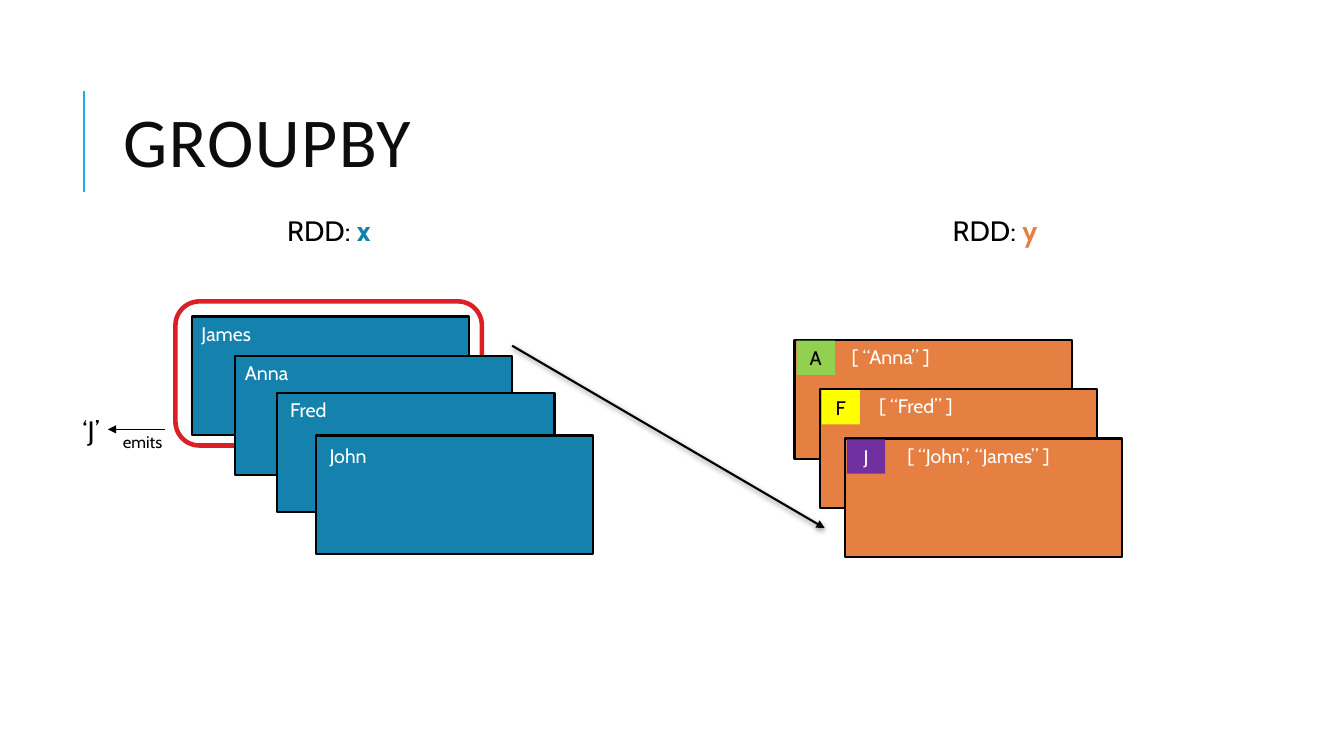
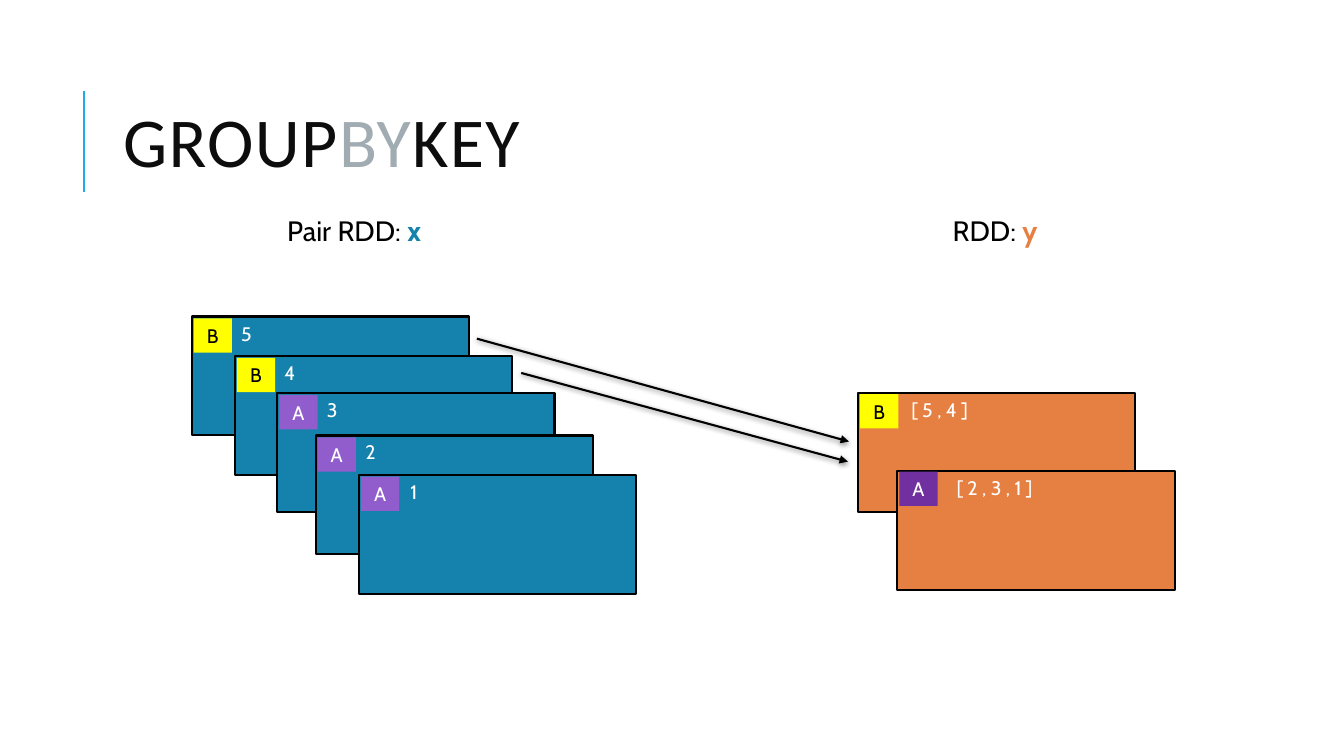
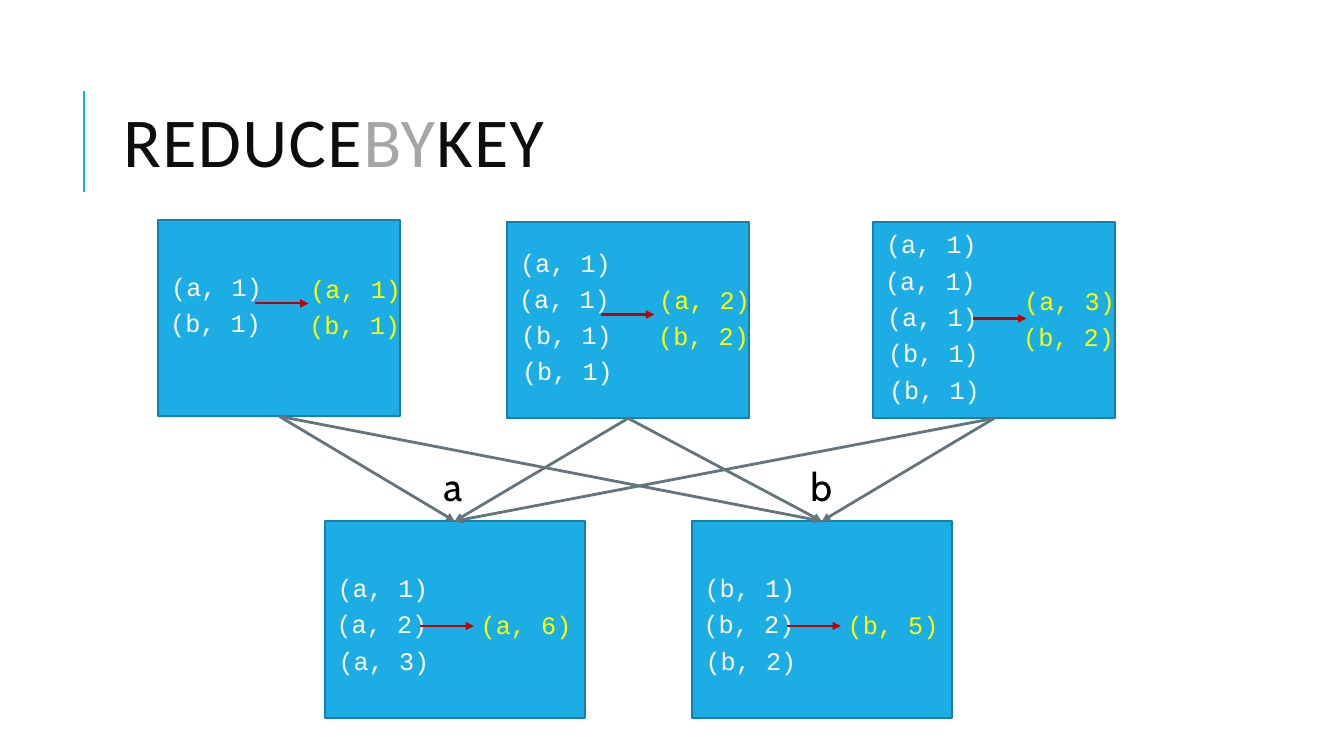
from itertools import product

from lxml import etree
from pptx import Presentation
from pptx.dml.color import RGBColor
from pptx.enum.shapes import MSO_CONNECTOR, MSO_SHAPE
from pptx.enum.text import MSO_ANCHOR, MSO_AUTO_SIZE, PP_ALIGN
from pptx.oxml.ns import qn
from pptx.util import Inches, Pt

STRAIGHT = MSO_CONNECTOR.STRAIGHT
RECTANGLE, ROUNDED = MSO_SHAPE.RECTANGLE, MSO_SHAPE.ROUNDED_RECTANGLE
LEFT, CENTER = PP_ALIGN.LEFT, PP_ALIGN.CENTER
TOP, MIDDLE = MSO_ANCHOR.TOP, MSO_ANCHOR.MIDDLE
NO_AUTOFIT = MSO_AUTO_SIZE.NONE
TITLE_ONLY = 5

COLORS = {
    "black": "000000", "white": "FFFFFF", "title": "0D0D0D",
    "muted": "A1ACB2", "gray": "A6A6A6", "accent": "1CADE4",
    "node_line": "1580A9", "blue": "1482AC", "orange": "E68042",
    "red": "DB1F25", "dark_red": "C00000", "slate": "65757D",
    "yellow": "FFFF00", "green": "92D050", "purple": "7030A0",
    "violet": "915CCC",
}
TITLE_FONT, BODY_FONT, CODE_FONT = "Calibri", "Cabin", "Courier New"

CARD_WIDTH, CARD_HEIGHT = 2.75, 1.18
KEY_WIDTH, KEY_HEIGHT = 0.38, 0.34
BLUE_PLACES = [(1.9, 3.14), (2.33, 3.53), (2.75, 3.9), (3.13, 4.32), (3.56, 4.71)]
NODE_HEIGHT, PAIR_PITCH = 1.95, 0.36
PAIR_INDENTS = (0.03, 0.02, 0.04, 0.05, 0.06)


def color(name):
    return RGBColor.from_string(COLORS[name])


# Basic parts
def add_runs(para, runs, size, font):
    """Each run is (text, colour name, bold)."""
    for text, shade, bold in runs:
        span = para.add_run()
        span.text = text
        span.font.size = Pt(size)
        span.font.name = font
        span.font.bold = bold
        span.font.color.rgb = color(shade)


def add_label(slide, left, top, width, height, runs, size=14, font=BODY_FONT, align=LEFT):
    label = slide.shapes.add_textbox(Inches(left), Inches(top), Inches(width), Inches(height))
    frame = label.text_frame
    frame.word_wrap = True
    frame.vertical_anchor = TOP
    frame.paragraphs[0].alignment = align
    add_runs(frame.paragraphs[0], runs, size, font)


def add_box(slide, left, top, width, height, fill=None, line=None, weight=1.5, kind=RECTANGLE):
    box = slide.shapes.add_shape(kind, Inches(left), Inches(top), Inches(width), Inches(height))
    box.shadow.inherit = False
    if fill:
        box.fill.solid()
        box.fill.fore_color.rgb = color(fill)
    else:
        box.fill.background()
    if line:
        box.line.color.rgb = color(line)
        box.line.width = Pt(weight)
    else:
        box.line.fill.background()
    return box


def add_line(slide, start, end, shade, weight, arrow=True, shadow=False):
    points = [Inches(value) for value in (*start, *end)]
    line = slide.shapes.add_connector(STRAIGHT, *points)
    line.line.color.rgb = color(shade)
    line.line.width = Pt(weight)
    if arrow:
        etree.SubElement(line.line._get_or_add_ln(), qn("a:tailEnd"), type="triangle")
    effects = etree.SubElement(line._element.spPr, qn("a:effectLst"))
    if shadow:
        outer = etree.SubElement(effects, qn("a:outerShdw"), blurRad=str(Pt(4)),
                                 dist=str(Pt(1)), dir="5400000", rotWithShape="0")
        shade_element = etree.SubElement(outer, qn("a:srgbClr"), val=COLORS["black"])
        etree.SubElement(shade_element, qn("a:alpha"), val="50000")
    return line


# Shared page: accent bar and title
def add_page(deck, title_runs):
    slide = deck.slides.add_slide(deck.slide_layouts[TITLE_ONLY])
    add_line(slide, (0.83, 1.9), (0.83, 0.9), "accent", 1.5, arrow=False)
    title = slide.shapes.title
    title.left, title.top = Inches(1.12), Inches(0.64)
    title.width, title.height = Inches(10.63), Inches(1.64)
    frame = title.text_frame
    frame.auto_size = NO_AUTOFIT
    frame.word_wrap = True
    frame.vertical_anchor = MIDDLE
    para = frame.paragraphs[0]
    para.alignment = LEFT
    para.line_spacing = 0.8
    add_runs(para, [(text, shade, False) for text, shade in title_runs], 50, TITLE_FONT)
    for span in para.runs:
        span._r.get_or_add_rPr().set("spc", "100")
    return slide


# Headings over the two datasets
def add_headings(slide, source_text):
    headings = [(2.75, source_text, "x", "blue"), (9.35, "RDD: ", "y", "orange")]
    for left, text, name, shade in headings:
        add_label(slide, left, 2.07, 1.55, 0.44,
                  [(text, "black", False), (name, shade, True)], size=20)


# One record: a card, its value and an optional key tag
def add_card(slide, left, top, fill, value, value_box, align=CENTER, key=None, key_drop=0.01):
    add_box(slide, left, top, CARD_WIDTH, CARD_HEIGHT, fill, "black")
    shift, drop, width = value_box
    add_label(slide, left + shift, top + drop, width, 0.34,
              [(value, "white", False)], align=align)
    if key:
        letter, key_fill, ink = key
        tag = add_box(slide, left + 0.02, top + key_drop, KEY_WIDTH, KEY_HEIGHT, key_fill)
        frame = tag.text_frame
        frame.margin_left = frame.margin_right = 0
        frame.margin_top = frame.margin_bottom = 0
        frame.vertical_anchor = MIDDLE
        frame.paragraphs[0].alignment = CENTER
        add_runs(frame.paragraphs[0], [(letter, ink, False)], 14, BODY_FONT)


def add_group_by(deck):
    slide = add_page(deck, [("GROUPBY", "title")])
    add_headings(slide, "RDD: ")
    # Selected record and the key it emits
    add_box(slide, 1.74, 2.99, 3.04, 1.43, line="red", weight=3.25, kind=ROUNDED)
    add_label(slide, 1.12, 4.23, 0.66, 0.3, [("emits", "black", False)], size=12)
    add_line(slide, (1.64, 4.26), (1.07, 4.26), "black", 1)
    add_label(slide, 0.72, 4.05, 0.66, 0.44, [("‘J’", "black", False)], size=20)
    # Source records
    names = [("James", 0, 0), ("Anna", 0, 0), ("Fred", 0.03, 0), ("John", 0.04, 0.04)]
    for (left, top), (name, shift, drop) in zip(BLUE_PLACES, names):
        add_card(slide, left, top, "blue", name, (shift, drop, 0.9), align=LEFT)
    # Grouped records
    groups = [
        ("[ “Anna” ]", 1.17, ("A", "green", "black")),
        ("[ “Fred” ]", 1.17, ("F", "yellow", "black")),
        ("[ “John”, “James” ]", 1.91, ("J", "purple", "white")),
    ]
    for index, (value, width, key) in enumerate(groups):
        add_card(slide, 7.88 + 0.25 * index, 3.37 + 0.49 * index, "orange",
                 value, (0.37, 0, width), key=key)
    add_line(slide, (5.08, 3.43), (8.18, 5.24), "black", 1.5, shadow=True)


def add_group_by_key(deck):
    slide = add_page(deck, [("GROUP", "title"), ("BY", "muted"), ("KEY", "title")])
    add_headings(slide, "Pair RDD: ")
    # Source pairs
    key_b, key_a = ("B", "yellow", "black"), ("A", "violet", "white")
    pairs = [("5", key_b), ("4", key_b), ("3", key_a), ("2", key_a), ("1", key_a)]
    for (left, top), (value, key) in zip(BLUE_PLACES, pairs):
        add_card(slide, left, top, "blue", value, (0.38, 0, 0.33), key=key, key_drop=0.02)
    # Grouped pairs
    add_card(slide, 8.51, 3.9, "orange", "[ 5 , 4 ]", (0.36, 0, 0.9), key=key_b)
    add_card(slide, 8.9, 4.67, "orange", "[ 2 , 3 , 1 ]", (0.38, 0, 1.17),
             key=("A", "purple", "white"))
    for start, end in [((4.73, 3.36), (8.42, 4.38)), ((5.17, 3.7), (8.41, 4.58))]:
        add_line(slide, start, end, "black", 1.5, shadow=True)


# One partition: its pairs, an arrow and the reduced pairs
def add_node(slide, left, top, width, pairs, first_row, arrow, results, result_place):
    box = add_box(slide, left, top, width, NODE_HEIGHT, "accent", "node_line", 1.25)

    def add_pairs(texts, indents, first_top, shade):
        for row, (text, indent) in enumerate(zip(texts, indents)):
            add_label(slide, left + indent, top + first_top + PAIR_PITCH * row, 1.17, 0.4,
                      [(text, shade, False)], size=18, font=CODE_FONT)

    add_pairs(pairs, PAIR_INDENTS, first_row, "white")
    shift, drop = result_place
    add_pairs(results, (shift, shift - 0.01), drop, "yellow")
    start, level = left + arrow[0], top + arrow[1]
    add_line(slide, (start, level), (start + 0.53, level), "dark_red", 1.5)
    return box


def add_reduce_by_key(deck):
    slide = add_page(deck, [("REDUCE", "title"), ("BY", "gray"), ("KEY", "title")])
    one_a, one_b = "(a, 1)", "(b, 1)"
    # Partitions before the shuffle
    sources = [
        add_node(slide, 1.57, 2.18, 2.4, [one_a, one_b], 0.46,
                 (0.96, 0.83), [one_a, one_b], (1.41, 0.48)),
        add_node(slide, 5.03, 2.2, 2.4, [one_a] * 2 + [one_b] * 2, 0.2,
                 (0.93, 0.92), ["(a, 2)", "(b, 2)"], (1.41, 0.57)),
        add_node(slide, 8.66, 2.2, 2.4, [one_a] * 3 + [one_b] * 2, 0.02,
                 (0.99, 0.96), ["(a, 3)", "(b, 2)"], (1.4, 0.58)),
    ]
    # Partitions after the shuffle, one for each key
    keys = [
        (3.22, "a", [one_a, "(a, 2)", "(a, 3)"], "(a, 6)"),
        (6.86, "b", [one_b, "(b, 2)", "(b, 2)"], "(b, 5)"),
    ]
    targets = []
    for left, name, pairs, total in keys:
        targets.append(add_node(slide, left, 5.17, 2.58, pairs, 0.46,
                                (0.95, 1.04), [total], (1.45, 0.83)))
        add_label(slide, left + 1.08, 4.54, 0.69, 0.57, [(name, "black", False)], size=28)
    # Shuffle arrows from bottom centre to top centre
    for source, target in product(sources, targets):
        link = add_line(slide, (0, 0), (1, 1), "slate", 2)
        link.begin_connect(source, 2)
        link.end_connect(target, 0)


def main():
    deck = Presentation()
    deck.slide_width, deck.slide_height = Inches(13.33), Inches(7.5)
    add_group_by(deck)
    add_group_by_key(deck)
    add_reduce_by_key(deck)
    deck.save("out.pptx")


if __name__ == "__main__":
    main()
